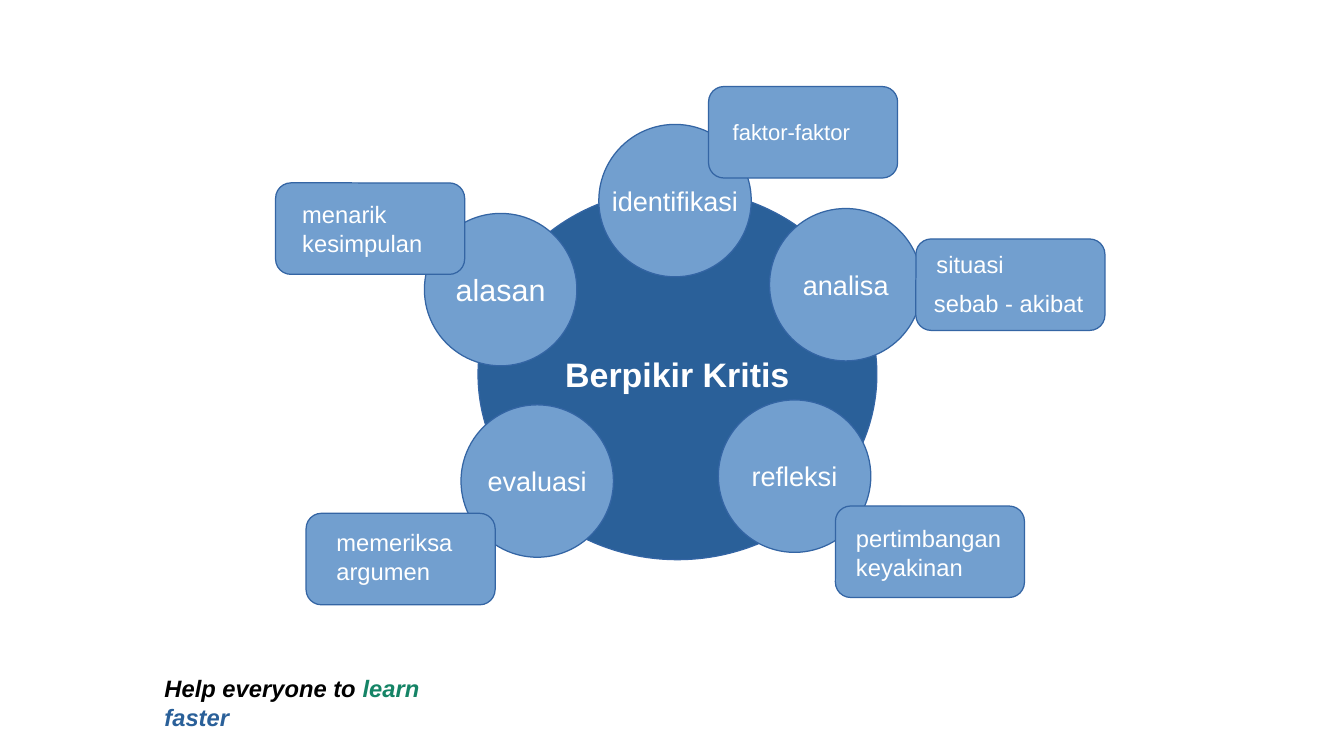
from pptx import Presentation
from pptx.dml.color import RGBColor
from pptx.enum.shapes import MSO_SHAPE as Shape
from pptx.enum.text import MSO_ANCHOR as Anchor, PP_ALIGN as Align
from pptx.util import Inches, Pt

NAVY, SKY, EDGE, WHITE = "2A6099", "729FCF", "3465A4", "FFFFFF"
CIRCLE = 1.25
CARD_WIDTH, CARD_HEIGHT = 1.55, 0.75


def color(value):
    return RGBColor.from_string(value)


def add_figure(kind, left, top, width, height, fill):
    figure = page.shapes.add_shape(
        kind, Inches(left), Inches(top), Inches(width), Inches(height))
    figure.shadow.inherit = False
    figure.fill.solid()
    figure.fill.fore_color.rgb = color(fill)
    figure.line.color.rgb = color(EDGE)
    figure.line.width = Pt(0)
    return figure


deck = Presentation()
deck.slide_width, deck.slide_height = Inches(11.02), Inches(6.2)
page = deck.slides.add_slide(deck.slide_layouts[6])

hub = (3.92, 1.55, 3.27, 3.04, NAVY, "Berpikir Kritis", 20, True)
skills = [
    (4.91, 1.02, "identifikasi", 16),
    (6.31, 1.71, "analisa", 16),
    (5.89, 3.28, "refleksi", 16),
    (3.48, 1.75, "alasan", 18),
    (3.78, 3.32, "evaluasi", 16),
]
circles = [hub] + [(left, top, CIRCLE, CIRCLE, SKY, label, size, False)
                   for left, top, label, size in skills]
for left, top, width, height, fill, label, size, bold in circles:
    circle = add_figure(Shape.OVAL, left, top, width, height, fill)
    frame = circle.text_frame
    frame.word_wrap = False
    frame.vertical_anchor = Anchor.MIDDLE
    para = frame.paragraphs[0]
    para.text = label
    para.alignment = Align.CENTER
    para.font.name, para.font.size, para.font.bold = "Arial", Pt(size), bold
    para.font.color.rgb = color(WHITE)

cards = [(5.81, 0.71), (7.51, 1.96), (6.85, 4.15), (2.51, 4.21), (2.26, 1.5)]
for left, top in cards:
    add_figure(Shape.ROUNDED_RECTANGLE, left, top, CARD_WIDTH, CARD_HEIGHT, SKY)

notes = [
    (5.91, 0.92, 1.46, 0.3, 13, ["faktor-faktor"]),
    (7.58, 2.0, 1.23, 0.31, 14, ["situasi"]),
    (7.56, 2.32, 1.5, 0.31, 14, ["sebab - akibat"]),
    (6.92, 4.25, 1.64, 0.53, 14, ["pertimbangan", "keyakinan"]),
    (2.66, 4.28, 1.4, 0.53, 14, ["memeriksa", "argumen"]),
    (2.38, 1.59, 1.43, 0.53, 14, ["menarik", "kesimpulan"]),
]
for left, top, width, height, size, lines in notes:
    box = page.shapes.add_textbox(
        Inches(left), Inches(top), Inches(width), Inches(height))
    box.text_frame.word_wrap = True
    box.text_frame.text = "\n".join(lines)
    for para in box.text_frame.paragraphs:
        para.font.name, para.font.size = "Arial", Pt(size)
        para.font.color.rgb = color(WHITE)

slogan = page.shapes.add_textbox(
    Inches(1.25), Inches(5.48), Inches(2.87), Inches(0.32))
slogan.text_frame.word_wrap = True
para = slogan.text_frame.paragraphs[0]
para.font.name, para.font.size = "Arial", Pt(14)
para.font.bold = para.font.italic = True
for words, shade in [("Help everyone to ", "000000"), ("learn ", "158466"), ("faster", NAVY)]:
    span = para.add_run()
    span.text = words
    span.font.color.rgb = color(shade)

deck.save("out.pptx")
